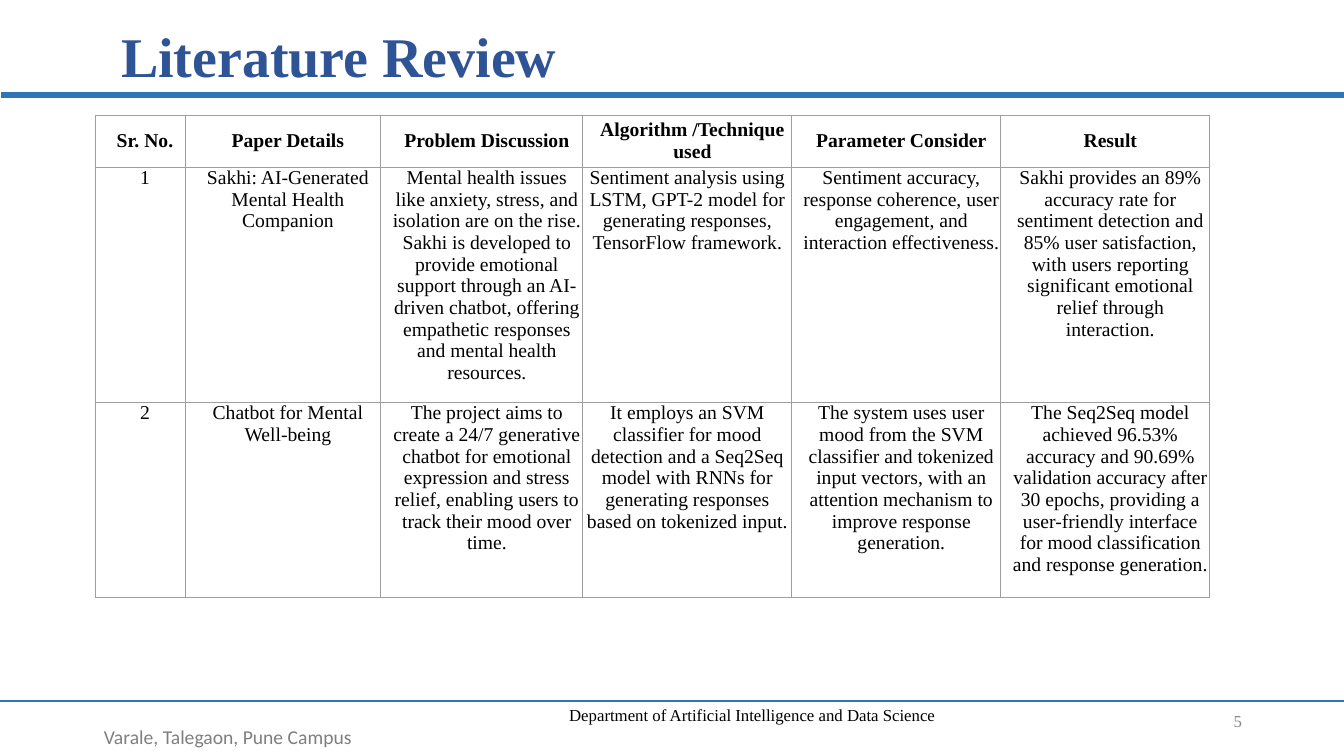
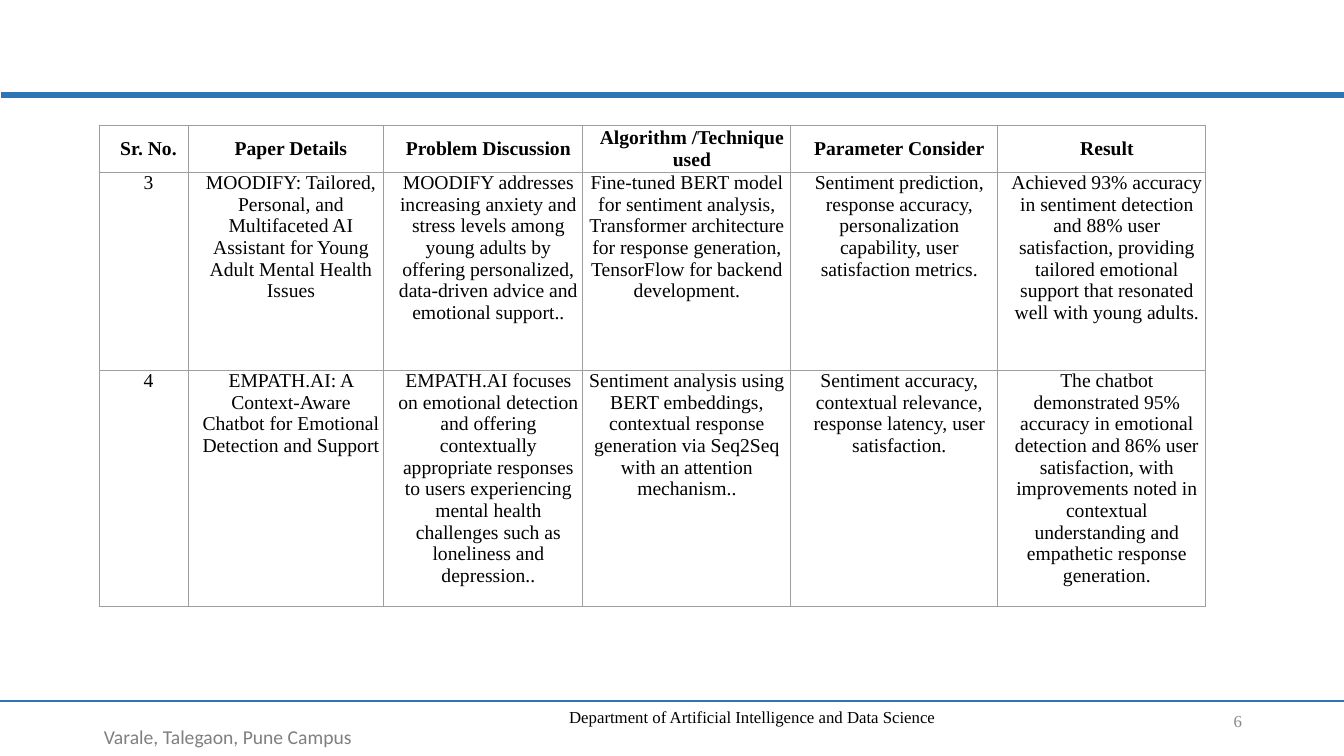
from pptx import Presentation
from pptx.dml.color import RGBColor
from pptx.enum.shapes import MSO_CONNECTOR
from pptx.enum.text import MSO_ANCHOR, MSO_AUTO_SIZE, PP_ALIGN
from pptx.oxml import parse_xml
from pptx.oxml.ns import nsdecls
from pptx.util import Pt

LEFT, MID, RIGHT = PP_ALIGN.LEFT, PP_ALIGN.CENTER, PP_ALIGN.RIGHT
TOP, CENTER = MSO_ANCHOR.TOP, MSO_ANCHOR.MIDDLE
STRAIGHT, FIXED = MSO_CONNECTOR.STRAIGHT, MSO_AUTO_SIZE.NONE

SCALE = 914400 / 100.8  # EMU in one px
WIDE, HIGH = 1344, 756
COLORS = {"rule": "2E75B5", "title": "2F5496", "text": "000000",
          "campus": "7F7F7F", "number": "888888", "grid": "9E9E9E"}
SERIF, SANS = "Times New Roman", "Calibri"

HEADS = ["Sr. No.", "Paper Details", "Problem Discussion",
         "Algorithm /Technique used", "Parameter Consider", "Result"]
FLUSH = 3  # column whose body text has no indent

PAGES = [
    {"title": "Literature Review", "number": 5, "dept": 700,
     "at": (95, 115), "cols": [90, 196, 202, 209, 209, 209],
     "rows": [52, 216, 195],
     "papers": [
         ["1", "Sakhi: AI-Generated Mental Health Companion",
          "Mental health issues like anxiety, stress, and isolation are on the "
          "rise. Sakhi is developed to provide emotional support through an "
          "AI-driven chatbot, offering empathetic responses and mental health "
          "resources.",
          "Sentiment analysis using LSTM, GPT-2 model for generating responses, "
          "TensorFlow framework.",
          "Sentiment accuracy, response coherence, user engagement, and "
          "interaction effectiveness.",
          "Sakhi provides an 89% accuracy rate for sentiment detection and 85% "
          "user satisfaction, with users reporting significant emotional relief "
          "through interaction."],
         ["2", "Chatbot for Mental Well-being",
          "The project aims to create a 24/7 generative chatbot for emotional "
          "expression and stress relief, enabling users to track their mood "
          "over time.",
          "It employs an SVM classifier for mood detection and a Seq2Seq model "
          "with RNNs for generating responses based on tokenized input.",
          "The system uses user mood from the SVM classifier and tokenized input "
          "vectors, with an attention mechanism to improve response generation.",
          "The Seq2Seq model achieved 96.53% accuracy and 90.69% validation "
          "accuracy after 30 epochs, providing a user-friendly interface for "
          "mood classification and response generation."]]},
    {"title": None, "number": 6, "dept": 702,
     "at": (99, 125), "cols": [89, 196, 199, 208, 207, 208],
     "rows": [47, 198, 236],
     "papers": [
         ["3", "MOODIFY: Tailored, Personal, and Multifaceted AI Assistant for "
          "Young Adult Mental Health Issues",
          "MOODIFY addresses increasing anxiety and stress levels among young "
          "adults by offering personalized, data-driven advice and emotional "
          "support..",
          "Fine-tuned BERT model for sentiment analysis, Transformer "
          "architecture for response generation, TensorFlow for backend "
          "development.",
          "Sentiment prediction, response accuracy, personalization capability, "
          "user satisfaction metrics.",
          "Achieved 93% accuracy in sentiment detection and 88% user "
          "satisfaction, providing tailored emotional support that resonated "
          "well with young adults."],
         ["4", "EMPATH.AI: A Context-Aware Chatbot for Emotional Detection and "
          "Support",
          "EMPATH.AI focuses on emotional detection and offering contextually "
          "appropriate responses to users experiencing mental health challenges "
          "such as loneliness and depression..",
          "Sentiment analysis using BERT embeddings, contextual response "
          "generation via Seq2Seq with an attention mechanism..",
          "Sentiment accuracy, contextual relevance, response latency, user "
          "satisfaction.",
          "The chatbot demonstrated 95% accuracy in emotional detection and 86% "
          "user satisfaction, with improvements noted in contextual "
          "understanding and empathetic response generation."]]},
]


def px(*vals):
    return [round(v * SCALE) for v in vals]


def write(frame, text, size=14, font=SERIF, color="text", bold=False,
          align=MID, anchor=TOP, indent=0, spacing=None):
    """Put one formatted paragraph into a text frame."""
    frame.word_wrap = True
    frame.vertical_anchor = anchor
    para = frame.paragraphs[0]
    para.text = text
    para.alignment = align
    if spacing:
        para.line_spacing = spacing
    if indent:
        props = para._p.get_or_add_pPr()
        props.set("marL", str(px(indent)[0]))
        props.set("indent", "0")
    face = para.runs[0].font
    face.size, face.name, face.bold = Pt(size), font, bold
    face.color.rgb = RGBColor.from_string(COLORS[color])


class Deck:
    def __init__(self):
        self.prs = Presentation()
        self.prs.slide_width, self.prs.slide_height = px(WIDE, HIGH)
        self.slide = None

    def page(self, title, number, dept):
        """Start a slide with the shared rules, title and footer."""
        layout = self.prs.slide_layouts[5 if title else 6]
        self.slide = self.prs.slides.add_slide(layout)
        self.rule(0, 701, 1.25)
        self.rule(1, 95, 4.75)
        self.label("Varale, Talegaon, Pune Campus", 73, 720, 310, 34,
                   font=SANS, color="campus")
        if title:
            self.title(title)
        self.label(str(number), 950, 701, 302, 40, size=12, color="number",
                   align=RIGHT, anchor=CENTER)
        self.label("Department of Artificial Intelligence and Data Science",
                   556, dept, 393, 30, size=12)

    def title(self, text):
        box = self.slide.shapes.title
        box.left, box.top, box.width, box.height = px(111, -14, 479, 146)
        box.text_frame.auto_size = FIXED
        write(box.text_frame, text, size=40, color="title", bold=True,
              align=LEFT, anchor=CENTER, spacing=0.9)

    def rule(self, left, top, weight):
        line = self.slide.shapes.add_connector(
            STRAIGHT, *px(left, top, WIDE, top))
        line.line.color.rgb = RGBColor.from_string(COLORS["rule"])
        line.line.width = Pt(weight)
        line._element.spPr.append(
            parse_xml(f"<a:effectLst {nsdecls('a')}/>"))

    def label(self, text, left, top, width, height, **style):
        box = self.slide.shapes.add_textbox(*px(left, top, width, height))
        write(box.text_frame, text, **style)

    def table(self, at, cols, rows, papers):
        grid = self.slide.shapes.add_table(
            len(rows), len(cols), *px(*at, sum(cols), sum(rows))).table
        grid.first_row = grid.horz_banding = False
        for col, width in zip(grid.columns, px(*cols)):
            col.width = width
        for row, height in zip(grid.rows, px(*rows)):
            row.height = height
        for r, texts in enumerate([HEADS] + papers):
            head = r == 0
            for c, text in enumerate(texts):
                cell = grid.cell(r, c)
                self.frame(cell)
                cell.vertical_anchor = CENTER if head else TOP
                write(cell.text_frame, text, bold=head, anchor=None,
                      indent=10 if head or c != FLUSH else 0)

    def frame(self, cell):
        """Clear a cell's fill and margins and draw its four borders."""
        cell.margin_left = cell.margin_right = 0
        cell.margin_top = cell.margin_bottom = 0
        cell.fill.background()
        props = cell._tc.get_or_add_tcPr()
        for i, side in enumerate("LRTB"):
            props.insert(i, parse_xml(
                f'<a:ln{side} {nsdecls("a")} w="{Pt(0.75)}"><a:solidFill>'
                f'<a:srgbClr val="{COLORS["grid"]}"/></a:solidFill></a:ln{side}>'))


def main():
    deck = Deck()
    for page in PAGES:
        deck.page(page["title"], page["number"], page["dept"])
        deck.table(page["at"], page["cols"], page["rows"], page["papers"])
    deck.prs.save("out.pptx")


if __name__ == "__main__":
    main()
